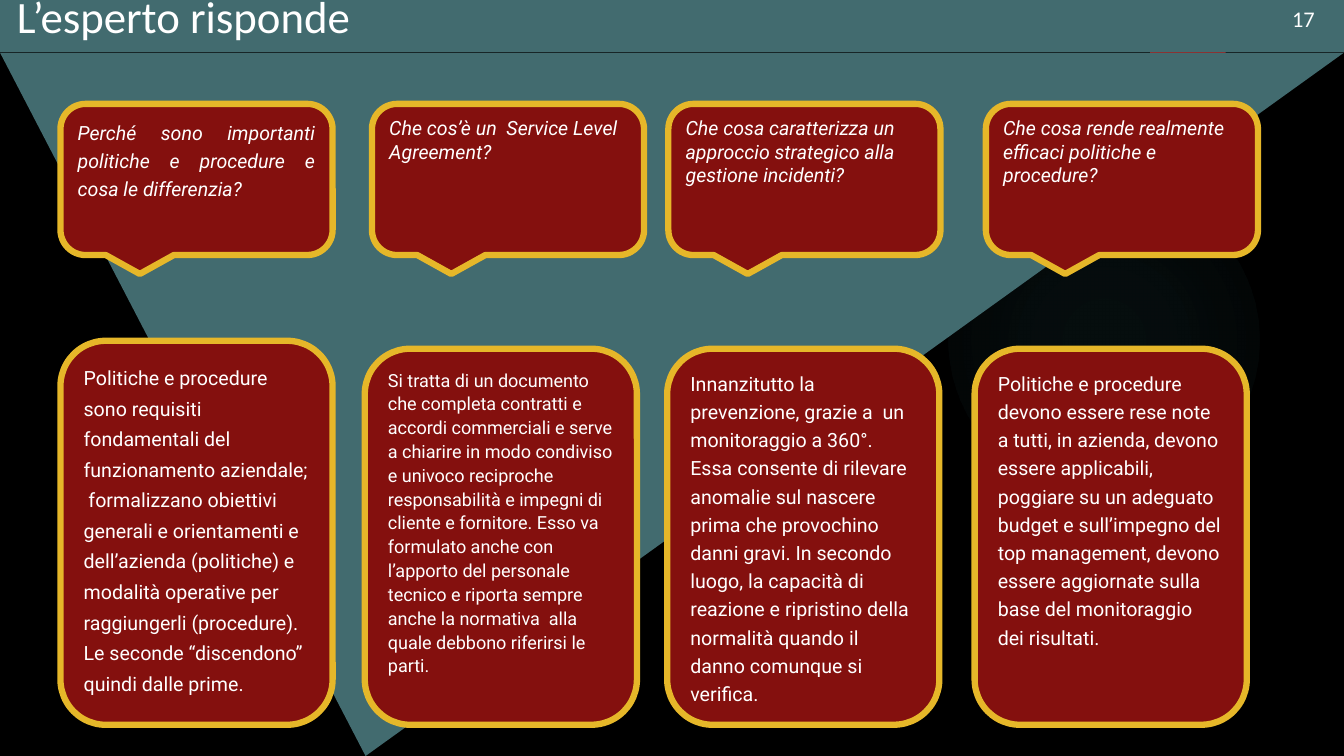
from lxml import etree
from pptx import Presentation
from pptx.dml.color import RGBColor
from pptx.enum.shapes import MSO_SHAPE
from pptx.enum.text import MSO_ANCHOR, PP_ALIGN
from pptx.util import Pt

RECTANGLE = MSO_SHAPE.RECTANGLE
TRIANGLE = MSO_SHAPE.ISOSCELES_TRIANGLE
OVAL = MSO_SHAPE.OVAL
CALLOUT = MSO_SHAPE.ROUNDED_RECTANGULAR_CALLOUT
ROUNDED = MSO_SHAPE.ROUNDED_RECTANGLE
TOP = MSO_ANCHOR.TOP
LEFT, JUSTIFY = PP_ALIGN.LEFT, PP_ALIGN.JUSTIFY

WIDTH, HEIGHT = 960, 540
BAR_HEIGHT = 37.2
CARD_WIDTH = 194.4
CARD_BOTTOM = 517.7
COLORS = {
    "background": "000000",
    "teal": "426B6F",
    "glow": "50B9C1",
    "tab": "B01513",
    "card": "84100E",
    "border": "E6B729",
    "text": "FFFFFF",
}
GLOW_STOPS = [(0, 7), (36, 6), (100, 0)]
DRAWING = "http://schemas.openxmlformats.org/drawingml/2006/main"

# left, line spacing, text
QUESTIONS = [
    (43.2, 1.2, "Perché sono importanti politiche e procedure e cosa le differenzia?"),
    (265.7, 1, "Che cos’è un  Service Level Agreement?"),
    (477.4, 1, "Che cosa caratterizza un approccio strategico alla gestione incidenti?"),
    (704.2, 1, "Che cosa rende realmente  efficaci politiche e procedure?"),
]
# left, top, line spacing, size, text
ANSWERS = [
    (43.2, 243.4, 1.3, 14,
     "Politiche e procedure sono requisiti fondamentali del funzionamento aziendale;  "
     "formalizzano obiettivi  generali e orientamenti e dell’azienda (politiche) e "
     "modalità operative per raggiungerli (procedure). Le seconde “discendono” quindi "
     "dalle prime."),
    (260.6, 249.1, 1.1, 12.9,
     "Si tratta di un documento che completa contratti e accordi commerciali e serve a "
     "chiarire in modo condiviso e univoco reciproche responsabilità e impegni di cliente "
     "e fornitore. Esso va formulato anche con l’apporto del personale tecnico e riporta "
     "sempre anche la normativa  alla quale debbono riferirsi le parti."),
    (476.6, 249.1, 1.2, 14,
     "Innanzitutto la prevenzione, grazie a  un  monitoraggio a 360°. Essa consente di "
     "rilevare anomalie sul nascere prima che provochino danni gravi. In secondo luogo, la "
     "capacità di reazione e ripristino della normalità quando il danno comunque si "
     "verifica."),
    (696.2, 249.1, 1.2, 14,
     "Politiche e procedure devono essere rese note a tutti, in azienda, devono essere "
     "applicabili, poggiare su un adeguato budget e sull’impegno del top management, "
     "devono essere aggiornate sulla base del monitoraggio dei risultati."),
]


def color(name):
    return RGBColor.from_string(COLORS[name])


def add_filled_shape(slide, kind, box, fill, border=None):
    shape = slide.shapes.add_shape(kind, *map(Pt, box))
    shape.shadow.inherit = False
    shape.fill.solid()
    shape.fill.fore_color.rgb = color(fill)
    if border:
        shape.line.color.rgb = color(border)
        shape.line.width = Pt(4.5)
    else:
        shape.line.fill.background()
    return shape


def write_text(shape, text, font, size, italic=False, spacing=1, align=LEFT):
    frame = shape.text_frame
    frame.word_wrap = True
    frame.vertical_anchor = TOP
    paragraph = frame.paragraphs[0]
    paragraph.alignment = align
    paragraph.line_spacing = spacing
    paragraph.space_before = Pt(10)
    run = paragraph.add_run()
    run.text = text
    run.font.name = font
    run.font.size = Pt(size)
    run.font.italic = italic
    run.font.color.rgb = color("text")


def add_glow(slide, box):
    """Place a circle that fades out from its centre."""
    glow = add_filled_shape(slide, OVAL, box, "glow")
    stops = "".join(
        f'<a:gs pos="{position * 1000}"><a:srgbClr val="{COLORS["glow"]}">'
        f'<a:alpha val="{opacity * 1000}"/></a:srgbClr></a:gs>'
        for position, opacity in GLOW_STOPS
    )
    gradient = etree.fromstring(
        f'<a:gradFill xmlns:a="{DRAWING}"><a:gsLst>{stops}</a:gsLst>'
        '<a:path path="circle"><a:fillToRect l="50000" t="50000" r="50000" b="50000"/>'
        "</a:path></a:gradFill>"
    )
    properties = glow.element.spPr
    properties.replace(properties.find(f"{{{DRAWING}}}solidFill"), gradient)


def add_backdrop(slide):
    slide.background.fill.solid()
    slide.background.fill.fore_color.rgb = color("background")
    add_glow(slide, (677.5, 131.8, 221.8, 221.8))
    add_filled_shape(slide, RECTANGLE, (821.5, 0, 54, 90), "tab")
    top = BAR_HEIGHT + 0.4
    triangle = add_filled_shape(slide, TRIANGLE, (0, top, WIDTH, HEIGHT - top), "teal")
    triangle.adjustments[0] = 0.728
    triangle.rotation = 180


def add_header(slide, box):
    left, top, width, height = box
    add_filled_shape(slide, RECTANGLE, box, "teal")
    labels = [
        ("17", 16, (left + width - 44.2, top, 39.6, 26.6)),
        ("L’esperto risponde", 32, (left + 5, top - 11.5, 905, 26.6)),
    ]
    for text, size, label_box in labels:
        label = slide.shapes.add_textbox(*map(Pt, label_box))
        write_text(label, text, "Calibri", size)


def add_card(slide, kind, box, text, size, spacing, italic=False, align=LEFT):
    card = add_filled_shape(slide, kind, box, "card", "border")
    write_text(card, text, "Roboto", size, italic, spacing, align)


def add_questions(slide, top, height):
    for index, (left, spacing, text) in enumerate(QUESTIONS):
        align = LEFT if index else JUSTIFY
        add_card(slide, CALLOUT, (left, top, CARD_WIDTH, height), text, 14, spacing, True, align)


def add_answers(slide, bottom):
    for left, top, spacing, size, text in ANSWERS:
        add_card(slide, ROUNDED, (left, top, CARD_WIDTH, bottom - top), text, size, spacing)


def main():
    presentation = Presentation()
    presentation.slide_width, presentation.slide_height = Pt(WIDTH), Pt(HEIGHT)
    slide = presentation.slides.add_slide(presentation.slide_layouts[6])
    add_backdrop(slide)
    add_header(slide, (0, 0, WIDTH, BAR_HEIGHT))
    add_questions(slide, 74.2, 108)
    add_answers(slide, CARD_BOTTOM)
    presentation.save("out.pptx")


if __name__ == "__main__":
    main()
